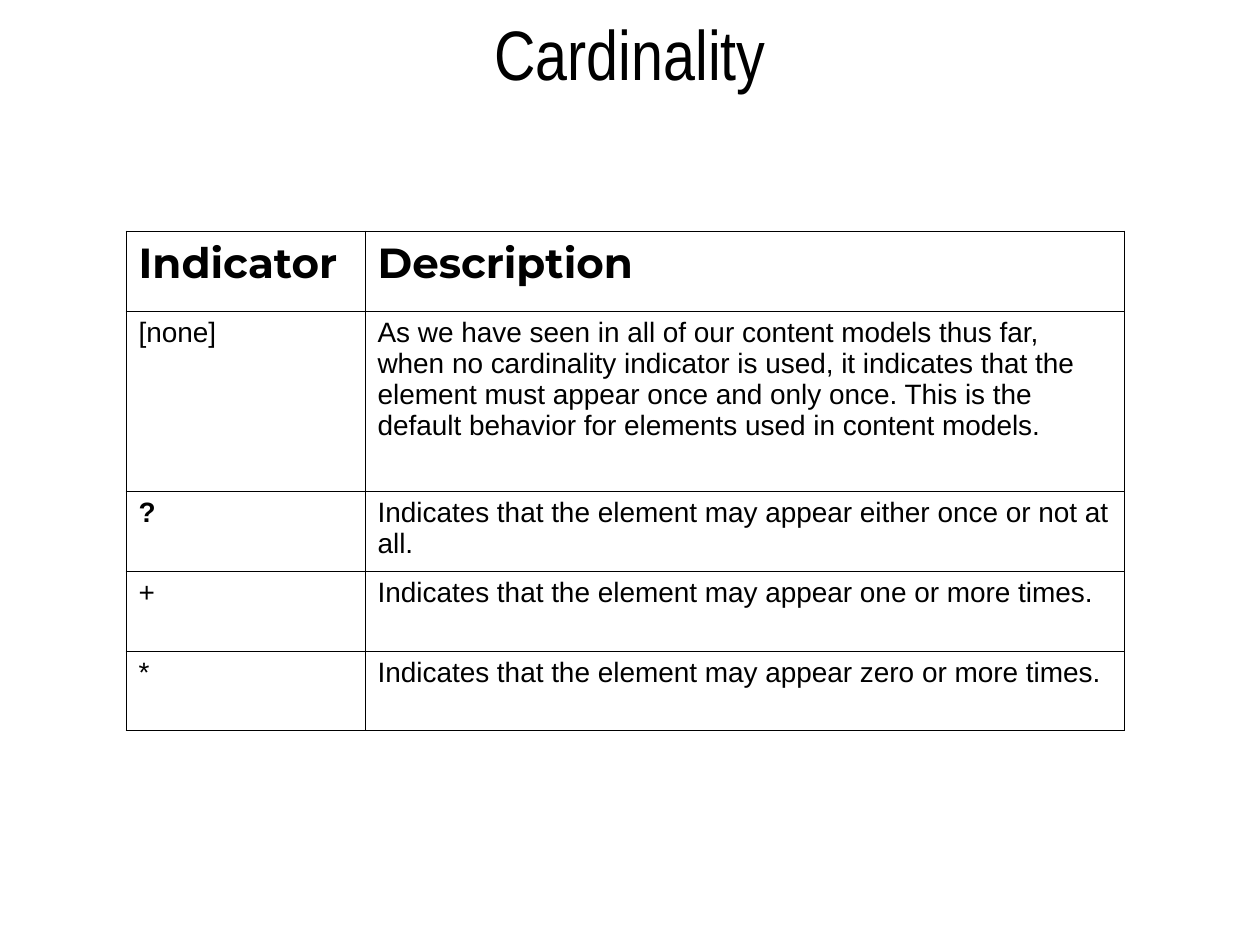
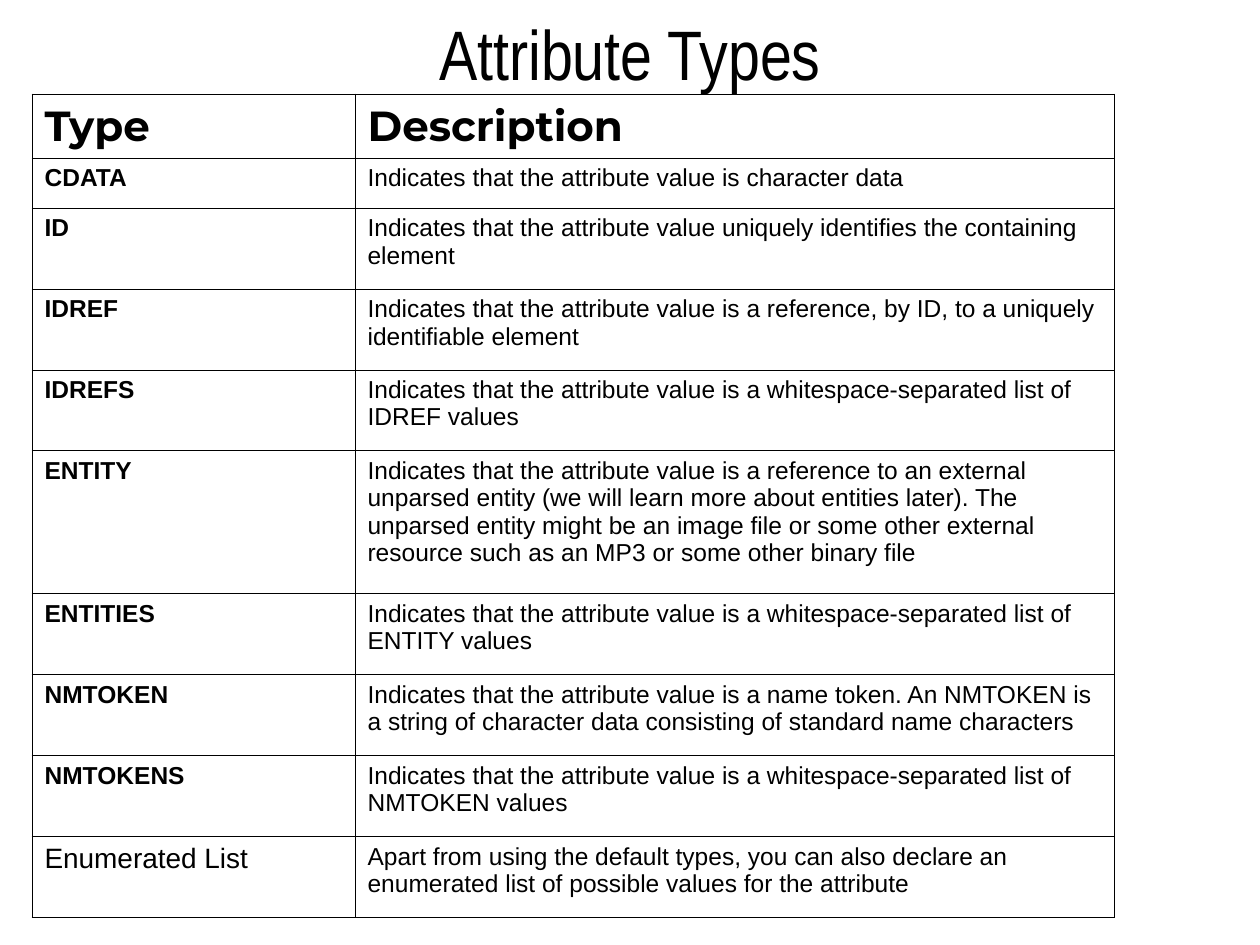
import pptx
import pptx.dml.color
import pptx.enum.text
import pptx.oxml
import pptx.oxml.ns
import pptx.util
from dataclasses import dataclass

PX_PER_INCH = 126
SLIDE_WIDTH, SLIDE_HEIGHT = 1260, 945
BLANK_LAYOUT = 6


def px(length):
    return pptx.util.Emu(round(length * 914400 / PX_PER_INCH))


@dataclass(frozen=True)
class Theme:
    ink: str = "000000"
    title: tuple = ("Arial Narrow", 40, False)
    header: tuple = ("Montserrat", 24, True)
    body: tuple = ("Arial", 16, False)
    term: tuple = ("Arial", 16, True)
    small_body: tuple = ("Arial", 14, False)
    small_term: tuple = ("Arial", 14, True)
    rule_width: float = 0.45
    title_height: int = 105


class Deck:
    def __init__(self, theme):
        self.theme = theme
        self.file = pptx.Presentation()
        self.file.slide_width = px(SLIDE_WIDTH)
        self.file.slide_height = px(SLIDE_HEIGHT)
        self.slide = None

    def start_slide(self, title):
        layout = self.file.slide_layouts[BLANK_LAYOUT]
        self.slide = self.file.slides.add_slide(layout)
        heading = self.slide.shapes.add_textbox(
            0, 0, px(SLIDE_WIDTH), px(self.theme.title_height))
        frame = heading.text_frame
        frame.word_wrap = True
        frame.vertical_anchor = pptx.enum.text.MSO_ANCHOR.MIDDLE
        self.add_text(frame, title, self.theme.title)
        frame.paragraphs[0].alignment = pptx.enum.text.PP_ALIGN.CENTER

    def add_text(self, frame, text, style):
        run = frame.paragraphs[0].add_run()
        run.text = text
        name, size, bold = style
        font_format = {"name": name, "size": pptx.util.Pt(size), "bold": bold}
        for attribute, value in font_format.items():
            setattr(run.font, attribute, value)
        run.font.color.rgb = pptx.dml.color.RGBColor.from_string(self.theme.ink)

    def rule_cell(self, cell):
        """Draw a thin line on all four sides of the cell."""
        properties = cell._tc.get_or_add_tcPr()
        width = pptx.util.Pt(self.theme.rule_width)
        for side in "LRTB":
            properties.append(pptx.oxml.parse_xml(
                f'<a:ln{side} {pptx.oxml.ns.nsdecls("a")} w="{width}"><a:solidFill>'
                f'<a:srgbClr val="{self.theme.ink}"/></a:solidFill></a:ln{side}>'))

    def add_table(self, left, top, widths, heights, rows):
        """Each row is a list of (text, style) pairs."""
        frame = self.slide.shapes.add_table(
            len(rows), len(widths), px(left), px(top),
            px(sum(widths)), px(sum(heights)))
        table = frame.table
        for option, value in {"first_row": False, "horz_banding": False}.items():
            setattr(table, option, value)
        for column, width in zip(table.columns, widths):
            column.width = px(width)
        for row, height, entries in zip(table.rows, heights, rows):
            row.height = px(height)
            for cell, (text, style) in zip(row.cells, entries):
                self.rule_cell(cell)
                cell.fill.background()
                self.add_text(cell.text_frame, text, style)


DESCRIPTION_WIDTH = 759
VALUE_IS = "Indicates that the attribute value is "
MAY_APPEAR = "Indicates that the element may appear "
LIST_OF = VALUE_IS + "a whitespace-separated list of "

INDICATORS = [
    ("[none]", "As we have seen in all of our content models thus far, when no "
     "cardinality indicator is used, it indicates that the element must appear once "
     "and only once. This is the default behavior for elements used in content models."),
    ("?", MAY_APPEAR + "either once or not at all."),
    ("+", MAY_APPEAR + "one or more times."),
    ("*", MAY_APPEAR + "zero or more times."),
]

ATTRIBUTE_TYPES = [
    ("CDATA", VALUE_IS + "character data"),
    ("ID", "Indicates that the attribute value uniquely identifies the containing element"),
    ("IDREF", VALUE_IS + "a reference, by ID, to a uniquely identifiable element"),
    ("IDREFS", LIST_OF + "IDREF values"),
    ("ENTITY", VALUE_IS + "a reference to an external unparsed entity (we will learn "
     "more about entities later). The unparsed entity might be an image file or some "
     "other external resource such as an MP3 or some other binary file"),
    ("ENTITIES", LIST_OF + "ENTITY values"),
    ("NMTOKEN", VALUE_IS + "a name token. An NMTOKEN is a string of character data "
     "consisting of standard name characters"),
    ("NMTOKENS", LIST_OF + "NMTOKEN values"),
    ("Enumerated List", "Apart from using the default types, you can also declare an "
     "enumerated list of possible values for the attribute"),
]


def add_cardinality(deck):
    theme = deck.theme
    deck.start_slide("Cardinality")
    rows = [[("Indicator", theme.header), ("Description", theme.header)]]
    for indicator, description in INDICATORS:
        style = theme.term if indicator == "?" else theme.body
        rows.append([(indicator, style), (description, theme.body)])
    deck.add_table(126, 231, [239, DESCRIPTION_WIDTH], [80, 180] + [80] * 3, rows)


def add_attribute_types(deck):
    theme = deck.theme
    deck.start_slide("Attribute Types")
    rows = [[("Type", theme.header), ("Description", theme.header)]]
    for name, description in ATTRIBUTE_TYPES:
        style = theme.body if name == "Enumerated List" else theme.small_term
        rows.append([(name, style), (description, theme.small_body)])
    heights = [64, 50] + [81] * 3 + [143] + [81] * 4
    deck.add_table(32, 94, [323, DESCRIPTION_WIDTH], heights, rows)


def main():
    deck = Deck(Theme())
    add_cardinality(deck)
    add_attribute_types(deck)
    deck.file.save("out.pptx")


if __name__ == "__main__":
    main()
